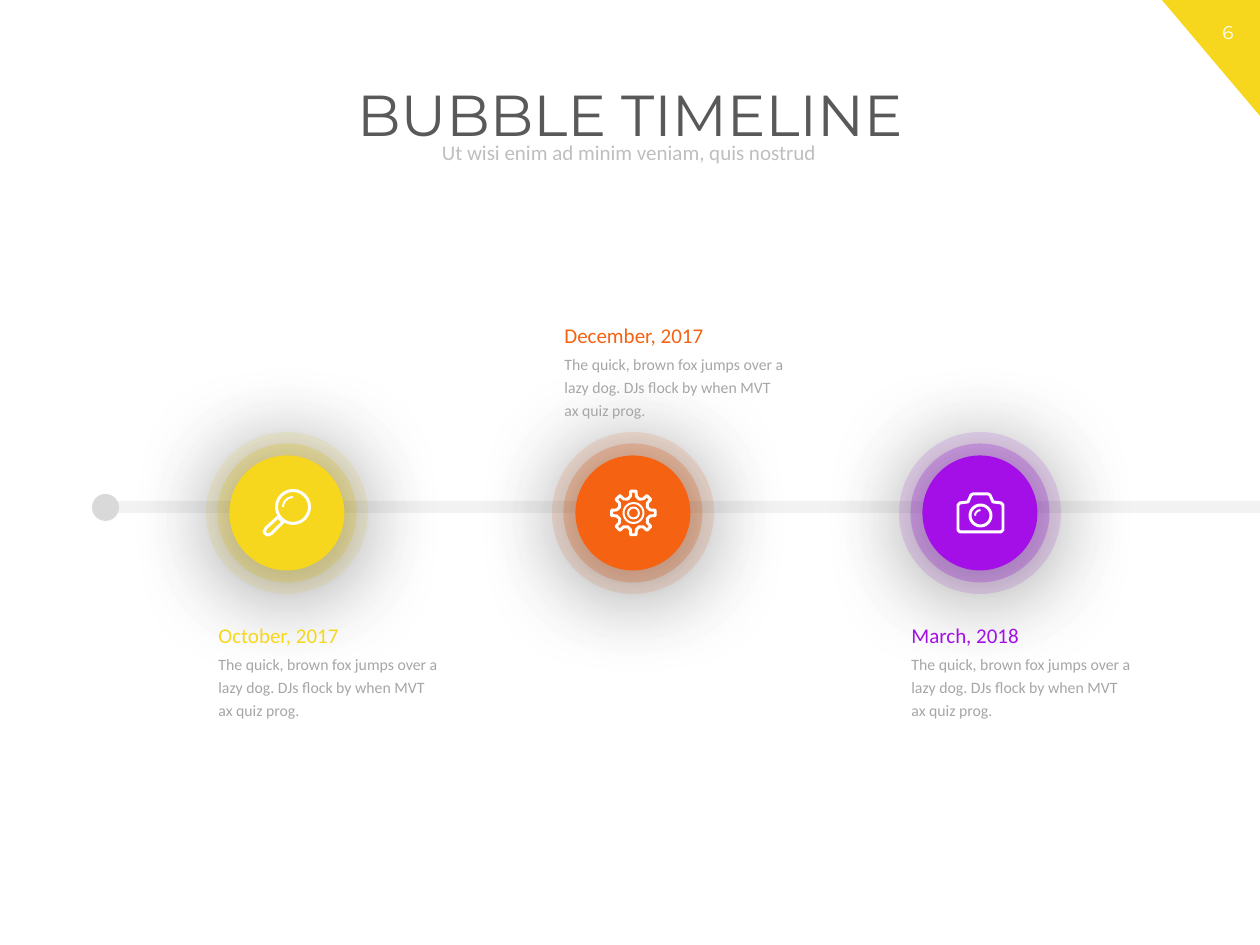
import math

import pptx
import pptx.util
from lxml import etree
from pptx.dml.color import RGBColor
from pptx.enum.shapes import MSO_SHAPE
from pptx.enum.text import MSO_ANCHOR, PP_ALIGN
from pptx.oxml.ns import qn

PX = 914400 / 126
WHITE = RGBColor(0xFF, 0xFF, 0xFF)
YELLOW = RGBColor(0xF6, 0xD7, 0x1E)
ORANGE = RGBColor(0xF5, 0x62, 0x11)
PURPLE = RGBColor(0xA4, 0x0F, 0xE7)
TITLE_GREY = RGBColor(0x59, 0x59, 0x59)
SUBTITLE_GREY = RGBColor(0xBF, 0xBF, 0xBF)
BODY_GREY = RGBColor(0xA6, 0xA6, 0xA6)
TRACK_GREY = RGBColor(0xF2, 0xF2, 0xF2)
DOT_GREY = RGBColor(0xD9, 0xD9, 0xD9)

prs = pptx.Presentation()
prs.slide_width = round(1260 * PX)
prs.slide_height = round(945 * PX)
slide = prs.slides.add_slide(prs.slide_layouts[6])


def write_text(text, left, top, width, height, *, size, color, font="Calibri",
               align=PP_ALIGN.LEFT, anchor=MSO_ANCHOR.TOP, spacing=1.0):
    box = slide.shapes.add_textbox(*(round(v * PX) for v in (left, top, width, height)))
    frame = box.text_frame
    frame.word_wrap = True
    frame.vertical_anchor = anchor
    paragraph = frame.paragraphs[0]
    paragraph.text = text
    paragraph.alignment = align
    paragraph.line_spacing = spacing
    paragraph.font.size = pptx.util.Pt(size)
    paragraph.font.name = font
    paragraph.font.color.rgb = color


def draw(shapes, kind, left, top, width, height, *, fill=None, stroke=0):
    """Add a preset shape with a flat fill, or a white outline of stroke px."""
    shape = shapes.add_shape(kind, *(round(v * PX) for v in (left, top, width, height)))
    shape.shadow.inherit = False
    if fill is None:
        shape.fill.background()
        shape.line.color.rgb = WHITE
        shape.line.width = round(stroke * PX)
    else:
        shape.fill.solid()
        shape.fill.fore_color.rgb = fill
        shape.line.fill.background()
    return shape


# Page corner and headings
corner = draw(slide.shapes, MSO_SHAPE.RIGHT_TRIANGLE, 1162, 0, 98, 116, fill=YELLOW)
corner.rotation = 180
write_text("6", 1196, 15, 64, 35, size=10.5, color=WHITE, font="Montserrat",
           align=PP_ALIGN.CENTER)
write_text("BUBBLE TIMELINE", 72, 80, 1116, 92, size=33, color=TITLE_GREY,
           font="Montserrat", align=PP_ALIGN.CENTER, spacing=0.9)
write_text("Ut wisi enim ad minim veniam, quis nostrud", 175, 137, 908, 33, size=12,
           color=SUBTITLE_GREY, align=PP_ALIGN.CENTER, anchor=MSO_ANCHOR.MIDDLE,
           spacing=0.9)

# Timeline track
track = draw(slide.shapes, MSO_SHAPE.ROUNDED_RECTANGLE, 112, 501, 1162, 12, fill=TRACK_GREY)
track.adjustments[0] = 0.5

# Bubbles: (diameter, opacity %, shadow blur in points) from the outside in
RINGS = [(162, 13, 49), (139, 25, 49), (115, 100, 64)]
BUBBLE_Y = 513
MILESTONES = [
    ("October, 2017", 287, 611, YELLOW),
    ("December, 2017", 633, 311, ORANGE),
    ("March, 2018", 980, 611, PURPLE),
]
for date, center_x, date_top, color in MILESTONES:
    bubble = slide.shapes.add_group_shape()
    for diameter, opacity, blur in RINGS:
        ring = draw(bubble.shapes, MSO_SHAPE.OVAL, center_x - diameter / 2,
                    BUBBLE_Y - diameter / 2, diameter, diameter, fill=color)
        properties = ring._element.spPr
        if opacity < 100:
            tint = properties.find(qn("a:solidFill")).find(qn("a:srgbClr"))
            etree.SubElement(tint, qn("a:alpha"), val=str(opacity * 1000))
        shadow = etree.SubElement(
            properties.find(qn("a:effectLst")), qn("a:outerShdw"),
            blurRad=str(pptx.util.Pt(blur)), dist=str(pptx.util.Pt(4)),
            dir="5400000", algn="ctr", rotWithShape="0")
        black = etree.SubElement(shadow, qn("a:srgbClr"), val="000000")
        etree.SubElement(black, qn("a:alpha"), val="43000")

draw(slide.shapes, MSO_SHAPE.OVAL, 92, 494, 27, 27, fill=DOT_GREY)

for date, center_x, date_top, color in MILESTONES:
    write_text(date, center_x - 81, date_top, 261, 43, size=12, color=color, spacing=1.2)
    write_text("The quick, brown fox jumps over a lazy dog. DJs flock by when MVT ax quiz prog.",
               center_x - 81, date_top + 34, 246, 82, size=9, color=BODY_GREY, spacing=1.2)

# Icons: an outline, circles (x, y, diameter, stroke) and a glint on the glass
handle = [(278, 517), (266, 528), (264, 532), (267, 535), (271, 534), (283, 522)]

TOOTH = [(-22.5, 15), (-10, 17), (-7, 22), (7, 22), (10, 17)]
gear = []
for tooth in range(8):
    for offset, radius in TOOTH:
        angle = math.radians(tooth * 45 + offset)
        gear.append((633.5 + radius * math.sin(angle), 513 - radius * math.cos(angle)))

camera_left = [(960, 532), (958, 530), (958, 505), (960, 503), (968, 502), (971, 495), (973, 494)]
camera = camera_left + [(1961 - x, y) for x, y in reversed(camera_left)]

ICONS = [
    (handle, [(293, 507, 33, 3)], (293, 507, 20)),
    (gear, [(633.5, 513, 20, 2), (633.5, 513, 11, 2)], None),
    (camera, [(980.5, 515.5, 21, 3)], (980.5, 515.5, 11)),
]
for outline, circles, glint in ICONS:
    icon = slide.shapes.add_group_shape()
    start, *rest = [(round(x * PX), round(y * PX)) for x, y in outline]
    builder = icon.shapes.build_freeform(*start)
    builder.add_line_segments(rest, close=True)
    body = builder.convert_to_shape()
    body.shadow.inherit = False
    body.fill.background()
    body.line.color.rgb = WHITE
    body.line.width = round(3 * PX)
    for x, y, diameter, stroke in circles:
        draw(icon.shapes, MSO_SHAPE.OVAL, x - diameter / 2, y - diameter / 2,
             diameter, diameter, stroke=stroke)
    if glint:
        x, y, diameter = glint
        shine = draw(icon.shapes, MSO_SHAPE.ARC, x - diameter / 2, y - diameter / 2,
                     diameter, diameter, stroke=2)
        shine.rotation = 270

prs.save("out.pptx")
